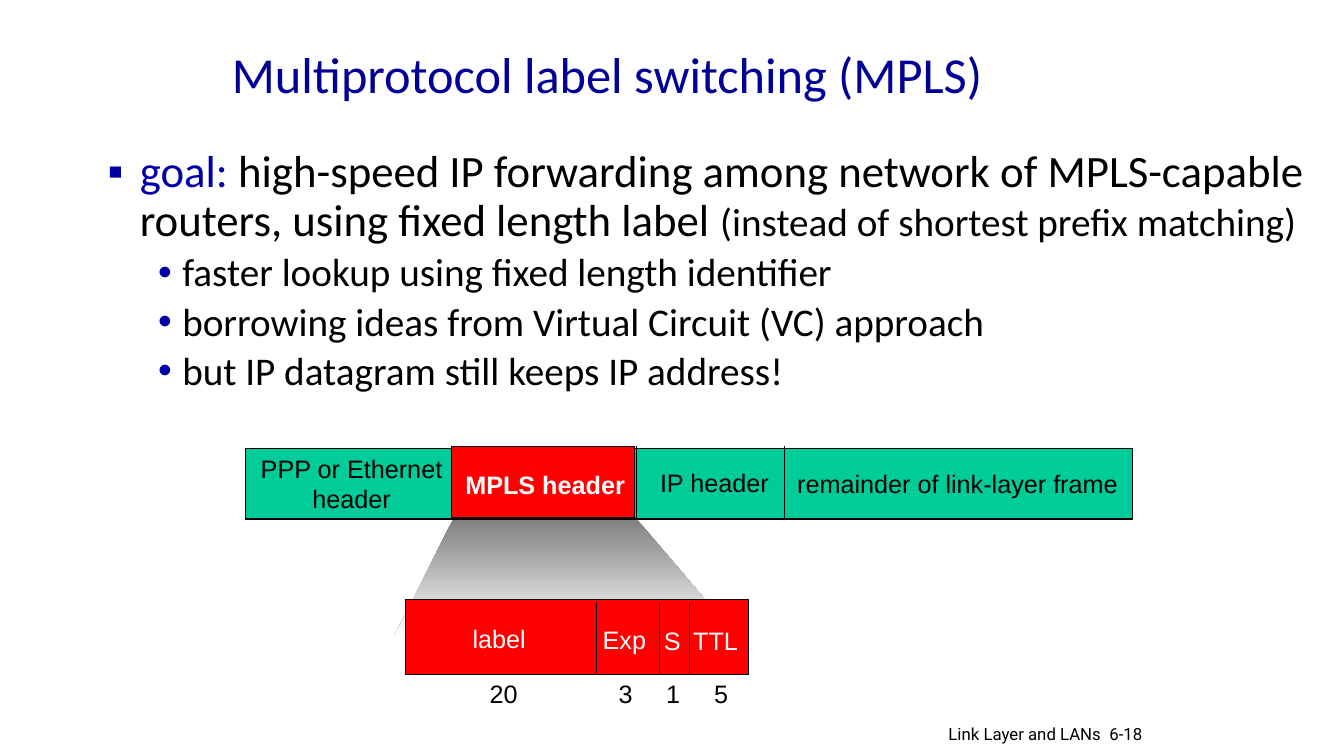
"""Build the slide on multiprotocol label switching."""
import pptx
import pptx.dml.color
import pptx.enum.shapes
import pptx.enum.text
import pptx.oxml
import pptx.oxml.ns
import pptx.util

Cm, Pt = pptx.util.Cm, pptx.util.Pt
ALIGN = pptx.enum.text.PP_ALIGN
FIT = pptx.enum.text.MSO_AUTO_SIZE
MID = pptx.enum.text.MSO_ANCHOR.MIDDLE
LEFT, MIDST, RIGHT = ALIGN.LEFT, ALIGN.CENTER, ALIGN.RIGHT
BLACK, WHITE, RED, GREEN = "000000", "FFFFFF", "FF0000", "00CC99"

TITLE = "Multiprotocol label switching (MPLS)"
GOAL = [
    ("goal: ", 32, "0000A8"),
    ("high-speed IP forwarding among network of MPLS-capable routers, "
     "using fixed length label ", 32, BLACK),
    ("(instead of shortest prefix matching)", 28, BLACK),
]
POINTS = [
    "faster lookup using fixed length identifier",
    "borrowing ideas from Virtual Circuit (VC) approach",
    "but IP datagram still keeps IP address!",
]
FRAME = (6.2, 11.3, 22.35, 1.78)
MPLS = (11.38, 11.25, 4.62, 1.78)
FIELDS = (10.21, 15.11, 8.66, 1.88)
BEAM = [(11.43, 13.06), (9.93, 16.05), (18.57, 16.05), (16.03, 13.06)]
PARTS = [
    ("PPP or Ethernet\nheader", (6.22, 11.3, 5.28, 1.78), MIDST),
    ("IP header", (16.38, 11.66, 3.25, 1.02), MIDST),
    ("remainder of link-layer frame", (19.84, 11.68, 8.59, 1.02), LEFT),
]
CELLS = [
    ("label", 11.66, 15.57, 1.85, "20", 12.09, 1.22),
    ("Exp", 14.94, 15.6, 1.6, "3", 15.34, 0.86),
    ("S", 16.48, 15.62, 0.94, "1", 16.54, 0.86),
    ("TTL", 17.22, 15.62, 1.65, "5", 17.75, 0.86),
]
CUTS = [((11.43, 16.03, 19.76), 11.25, 13.08),
        ((15.04, 16.61, 17.37), 15.16, 16.97)]
FOOT = [("6-18", (27.71, 18.11, 1.52, 0.76), LEFT),
        ("Link Layer and LANs", (21.95, 18.11, 6.05, 0.66), RIGHT)]


def hue(code):
    """Turn a hex string into a colour."""
    return pptx.dml.color.RGBColor.from_string(code)


def put(item, vals):
    """Set attributes from a dict."""
    for name, val in vals.items():
        setattr(item, name, val)


def place(item, box):
    """Move and size an item in centimetres."""
    put(item, dict(zip(("left", "top", "width", "height"), map(Cm, box))))


def ink(font, size, code, name="Arial", bold=False):
    """Format a font."""
    put(font, {"size": Pt(size), "name": name, "bold": bold})
    font.color.rgb = hue(code)


def write(deck, words, box, align=LEFT, code=BLACK, size=18, name="Arial",
          bold=False, wrap=False):
    """Add a text box."""
    frame = deck.add_textbox(*map(Cm, box)).text_frame
    put(frame, {"text": words, "word_wrap": wrap, "auto_size": FIT.NONE})
    for para in frame.paragraphs:
        para.alignment = align
        ink(para.font, size, code, name, bold)


def block(deck, box, code):
    """Add a filled, outlined rectangle."""
    rect = deck.add_shape(pptx.enum.shapes.MSO_SHAPE.RECTANGLE, *map(Cm, box))
    rect.shadow.inherit = False
    rect.fill.solid()
    rect.fill.fore_color.rgb = hue(code)
    rect.line.color.rgb = hue(BLACK)
    rect.line.width = Pt(0.75)


def rule(deck, cuts):
    """Add a row of upright dividers."""
    marks, top, low = cuts
    for left in marks:
        line = deck.add_connector(pptx.enum.shapes.MSO_CONNECTOR.STRAIGHT,
                                  Cm(left), Cm(top), Cm(left), Cm(low))
        line.line.color.rgb = hue(BLACK)
        line.line.width = Pt(0.75)
        props = line._element.spPr
        props.append(pptx.oxml.parse_xml(
            "<a:effectLst %s/>" % pptx.oxml.ns.nsdecls("a")))


def bullet(para, sign, code, left, hang, space):
    """Give a paragraph its bullet, indent and spacing."""
    props = para._p.get_or_add_pPr()
    props.set("marL", str(Cm(left)))
    props.set("indent", str(-Cm(hang)))
    decl = pptx.oxml.ns.nsdecls("a")
    for tag in (f'<a:buClr {decl}><a:srgbClr val="{code}"/></a:buClr>',
                f'<a:buFont {decl} typeface="Arial"/>',
                f'<a:buChar {decl} char="{sign}"/>'):
        props.append(pptx.oxml.parse_xml(tag))
    put(para, {"line_spacing": 0.9, "space_before": Pt(space),
               "alignment": LEFT})


def fill_text(slide):
    """Fill the title and the list."""
    head, body = slide.placeholders
    place(head, (5.59, 0.53, 21.59, 2.62))
    place(body, (2.46, 3.63, 30.84, 6.86))
    put(head.text_frame, {"text": TITLE, "vertical_anchor": MID,
                          "auto_size": FIT.NONE})
    para = head.text_frame.paragraphs[0]
    para.alignment = LEFT
    ink(para.font, 36, "000099", "Calibri")
    frame = body.text_frame
    frame.auto_size = FIT.NONE
    para = frame.paragraphs[0]
    bullet(para, "▪", "0000A3", 0.81, 0.81, 0)
    for words, size, code in GOAL:
        run = para.add_run()
        run.text = words
        ink(run.font, size, code, "Calibri")
    for words in POINTS:
        para = frame.add_paragraph()
        put(para, {"text": words, "level": 1})
        bullet(para, "•", "0000A8", 1.88, 0.61, 5)
        ink(para.runs[0].font, 28, BLACK, "Calibri")


def draw_beam(deck):
    """Draw the shaded link between header and fields."""
    path = deck.build_freeform(*map(Cm, BEAM[0]))
    path.add_line_segments([tuple(map(Cm, spot)) for spot in BEAM[1:]])
    beam = path.convert_to_shape()
    beam.shadow.inherit = False
    beam.line.fill.background()
    beam.fill.gradient()
    beam.fill.gradient_angle = 270
    for stop, code, spot in zip(beam.fill.gradient_stops,
                                ("808080", WHITE), (0, 1)):
        stop.color.rgb = hue(code)
        stop.position = spot


def main():
    """Lay out the slide and save it."""
    show = pptx.Presentation()
    put(show, {"slide_width": Cm(33.87), "slide_height": Cm(19.05)})
    slide = show.slides.add_slide(show.slide_layouts[1])
    deck = slide.shapes
    fill_text(slide)
    draw_beam(deck)
    block(deck, FRAME, GREEN)
    for words, box, align in PARTS:
        write(deck, words, box, align)
    rule(deck, CUTS[0])
    block(deck, MPLS, RED)
    write(deck, "MPLS header", (11.48, 11.71, 4.52, 1.02), MIDST, WHITE,
          bold=True)
    block(deck, FIELDS, RED)
    for name, left, top, wide, bits, start, span in CELLS:
        write(deck, name, (left, top, wide, 1.02), code=WHITE)
        write(deck, bits, (start, 16.97, span, 1.02))
    rule(deck, CUTS[1])
    for words, box, align in FOOT:
        write(deck, words, box, align, size=12, name="Roboto", wrap=True)
    show.save("out.pptx")


if __name__ == "__main__":
    main()
